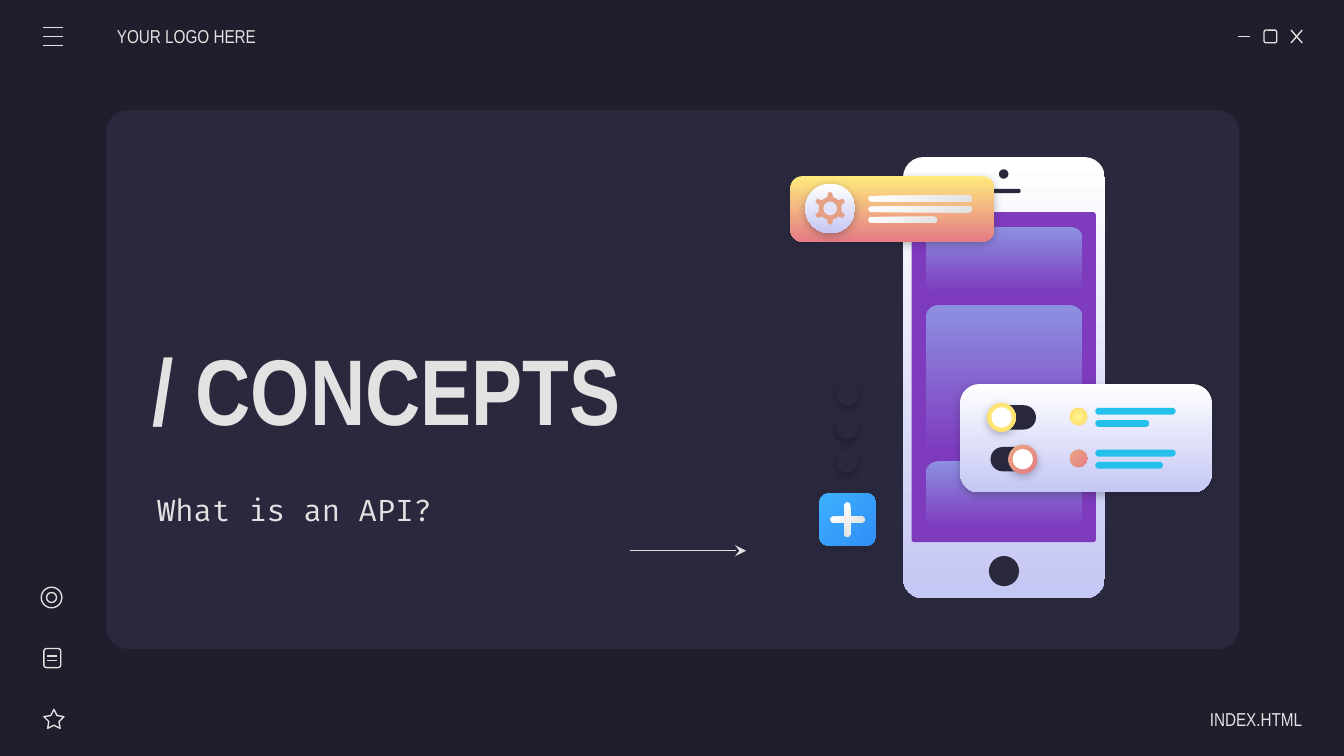
"""Build the API concepts slide with its phone illustration."""
from lxml.etree import SubElement
from pptx import Presentation
from pptx.dml.color import RGBColor
from pptx.enum.shapes import MSO_CONNECTOR, MSO_SHAPE
from pptx.enum.text import MSO_ANCHOR, MSO_AUTO_SIZE, PP_ALIGN
from pptx.oxml.ns import qn
from pptx.util import Cm, Pt

COLORS = {
    "background": "1E1E2C", "panel": "29283D", "light": "E2E2E2", "white": "FFFFFF",
    "lavender": "C5C7F4", "purple": "7E3BBE", "periwinkle": "8D90E1", "yellow": "FFEA7D",
    "coral": "E57C85", "gear": "E5A083", "gear hole": "E1E2FA", "lemon": "FFF68E",
    "amber": "FFD966", "peach": "E9A984", "cyan": "24BFEB", "sky": "3DB0FD",
    "blue": "308EF7", "black": "000000",
}
RECT, OVAL = MSO_SHAPE.ROUNDED_RECTANGLE, MSO_SHAPE.OVAL
PHONE = ("white", "lavender", 90)
TILE = ("periwinkle", "purple", 90)
BAR = ("white", "light", 45)
SUN = ("lemon", "amber", None)
CORAL = ("peach", "coral", 45)

presentation = Presentation()
presentation.slide_width, presentation.slide_height = Cm(25.4), Cm(14.29)
slide = presentation.slides.add_slide(presentation.slide_layouts[5])
slide.background.fill.solid()
slide.background.fill.fore_color.rgb = RGBColor.from_string(COLORS["background"])


def add_shape(kind, left, top, width, height, fill=None, radius=None, shadow=None):
    """Add a filled shape, or an outlined one when it has no fill."""
    shape = slide.shapes.add_shape(kind, Cm(left), Cm(top), Cm(width), Cm(height))
    properties = shape._element.spPr
    shape.shadow.inherit = False
    if radius is not None:
        shape.adjustments[0] = radius / min(width, height)
    if fill is None:
        shape.fill.background()
        shape.line.color.rgb = RGBColor.from_string(COLORS["light"])
        shape.line.width = Pt(0.75)
    else:
        shape.line.fill.background()
    if isinstance(fill, str):
        shape.fill.solid()
        shape.fill.fore_color.rgb = RGBColor.from_string(COLORS[fill])
    elif fill:
        start, end, angle = fill
        shape.fill.gradient()
        for stop, color in zip(shape.fill.gradient_stops, (start, end)):
            stop.color.rgb = RGBColor.from_string(COLORS[color])
        if angle is None:
            gradient = properties.find(qn("a:gradFill"))
            gradient.remove(gradient.find(qn("a:lin")))
            circle = SubElement(gradient, qn("a:path"), path="circle")
            SubElement(circle, qn("a:fillToRect"), l="50000", t="50000", r="50000", b="50000")
        else:
            shape.fill.gradient_angle = 360 - angle
    if shadow:
        outer = SubElement(properties.find(qn("a:effectLst")), qn("a:outerShdw"),
                           blurRad=str(Pt(4.5)), dist=str(Pt(1.5)), dir="5400000",
                           algn="bl", rotWithShape="0")
        color = SubElement(outer, qn("a:srgbClr"), val=COLORS[shadow])
        SubElement(color, qn("a:alpha"), val="30000")
    return shape


def write_text(shape, text, size=10, font="Arial Narrow", bold=False,
               align=PP_ALIGN.LEFT, inset_left=0.25, inset_right=0.25):
    """Write one formatted paragraph into a shape."""
    frame = shape.text_frame
    frame.word_wrap = True
    frame.auto_size = MSO_AUTO_SIZE.NONE
    frame.vertical_anchor = MSO_ANCHOR.MIDDLE
    frame.margin_left, frame.margin_right = Cm(inset_left), Cm(inset_right)
    frame.margin_top = frame.margin_bottom = Cm(0.25)
    paragraph = frame.paragraphs[0]
    paragraph.alignment = align
    run = paragraph.add_run()
    run.text = text
    run.font.size, run.font.name, run.font.bold = Pt(size), font, bold
    run.font.color.rgb = RGBColor.from_string(COLORS["light"])


add_shape(RECT, 2.01, 2.08, 21.41, 10.19, "panel", radius=0.41)

title = slide.shapes.title
title.left, title.top, title.width, title.height = Cm(2.64), Cm(5.26), Cm(10.92), Cm(4.17)
write_text(title, "/ CONCEPTS", size=50, bold=True)
title._element.getparent().append(title._element)

for box, text, text_format in (
    ((2.21, 0.3, 2.97, 0.76), "YOUR LOGO HERE", {"inset_left": 0}),
    ((21.64, 13.21, 2.97, 0.76), "INDEX.HTML", {"align": PP_ALIGN.RIGHT, "inset_right": 0}),
    ((2.72, 8.64, 10.13, 1.98), "What is an API?", {"size": 16, "font": "Fira Code"}),
):
    write_text(slide.shapes.add_textbox(*map(Cm, box)), text, **text_format)

add_shape(RECT, 23.89, 0.57, 0.24, 0.24, radius=0.04)
add_shape(RECT, 0.83, 12.26, 0.32, 0.36, radius=0.05)
add_shape(OVAL, 0.78, 11.1, 0.39, 0.39)
add_shape(OVAL, 0.88, 11.2, 0.19, 0.19)
star = add_shape(MSO_SHAPE.STAR_5_POINT, 0.83, 13.41, 0.38, 0.36)
star.adjustments[0] = 0.254

menu_lines = [(0.82, y, 1.2, y) for y in (0.52, 0.69, 0.86)]
page_lines = [(0.89, y, 1.07, y) for y in (12.4, 12.49)]
window_lines = [(23.39, 0.69, 23.62, 0.69), (24.4, 0.57, 24.61, 0.81), (24.61, 0.57, 24.4, 0.81)]
arrow = (11.91, 10.41, 14.1, 10.41)
for ends in menu_lines + page_lines + window_lines + [arrow]:
    line = slide.shapes.add_connector(MSO_CONNECTOR.STRAIGHT, *map(Cm, ends))
    line.line.color.rgb = RGBColor.from_string(COLORS["light"])
    line.line.width = Pt(0.75)
    if ends == arrow:
        SubElement(line.line._get_or_add_ln(), qn("a:tailEnd"), type="stealth")
    SubElement(line._element.spPr, qn("a:effectLst"))

add_shape(RECT, 17.07, 2.97, 3.81, 8.34, PHONE, radius=0.38)
add_shape(OVAL, 18.88, 3.2, 0.18, 0.18, "panel")
add_shape(RECT, 18.67, 3.57, 0.62, 0.08, "panel", radius=0.04)
add_shape(OVAL, 18.69, 10.51, 0.57, 0.57, "panel")
add_shape(RECT, 17.23, 4.01, 3.48, 6.24, "purple", radius=0.05)
for top, height in ((4.29, 1.24), (5.77, 2.77), (8.72, 1.24)):
    add_shape(RECT, 17.5, top, 2.96, height, TILE, radius=0.23)

add_shape(RECT, 14.94, 3.33, 3.85, 1.24, ("yellow", "coral", 90), 0.23, "background")
add_shape(OVAL, 15.22, 3.47, 0.94, 0.94, PHONE, shadow="background")
add_shape(MSO_SHAPE.GEAR_6, 15.38, 3.63, 0.62, 0.62, "gear")
add_shape(OVAL, 15.56, 3.81, 0.26, 0.26, "gear hole")
for row, width in enumerate((1.96, 1.96, 1.3)):
    add_shape(RECT, 16.41, 3.7 + 0.2 * row, width, 0.11, BAR, radius=0.055)

add_shape(RECT, 18.15, 7.26, 4.75, 2.05, PHONE, 0.36, "background")
for row, (knob, color, width) in enumerate(((18.66, SUN, 1.02), (19.06, CORAL, 1.28))):
    top = 7.62 + 0.79 * row
    add_shape(RECT, 18.72, top + 0.04, 0.86, 0.46, "panel", radius=0.23)
    add_shape(OVAL, knob, top, 0.54, 0.54, color, shadow="background")
    add_shape(OVAL, knob + 0.08, top + 0.08, 0.38, 0.38, "white")
    add_shape(OVAL, 20.22, top + 0.09, 0.33, 0.33, color)
    add_shape(RECT, 20.7, top + 0.09, 1.52, 0.13, "cyan", radius=0.065)
    add_shape(RECT, 20.7, top + 0.32, width, 0.13, "cyan", radius=0.065)

add_shape(RECT, 15.48, 9.32, 1.07, 1, ("sky", "blue", 45), 0.18, "background")
for angle in (0, 90):
    plus_bar = add_shape(RECT, 15.69, 9.76, 0.65, 0.12, BAR, radius=0.06)
    plus_bar.rotation = angle
for row in range(3):
    add_shape(OVAL, 15.81, 7.26 + 0.63 * row, 0.41, 0.41, "panel", shadow="black")

presentation.save("out.pptx")
